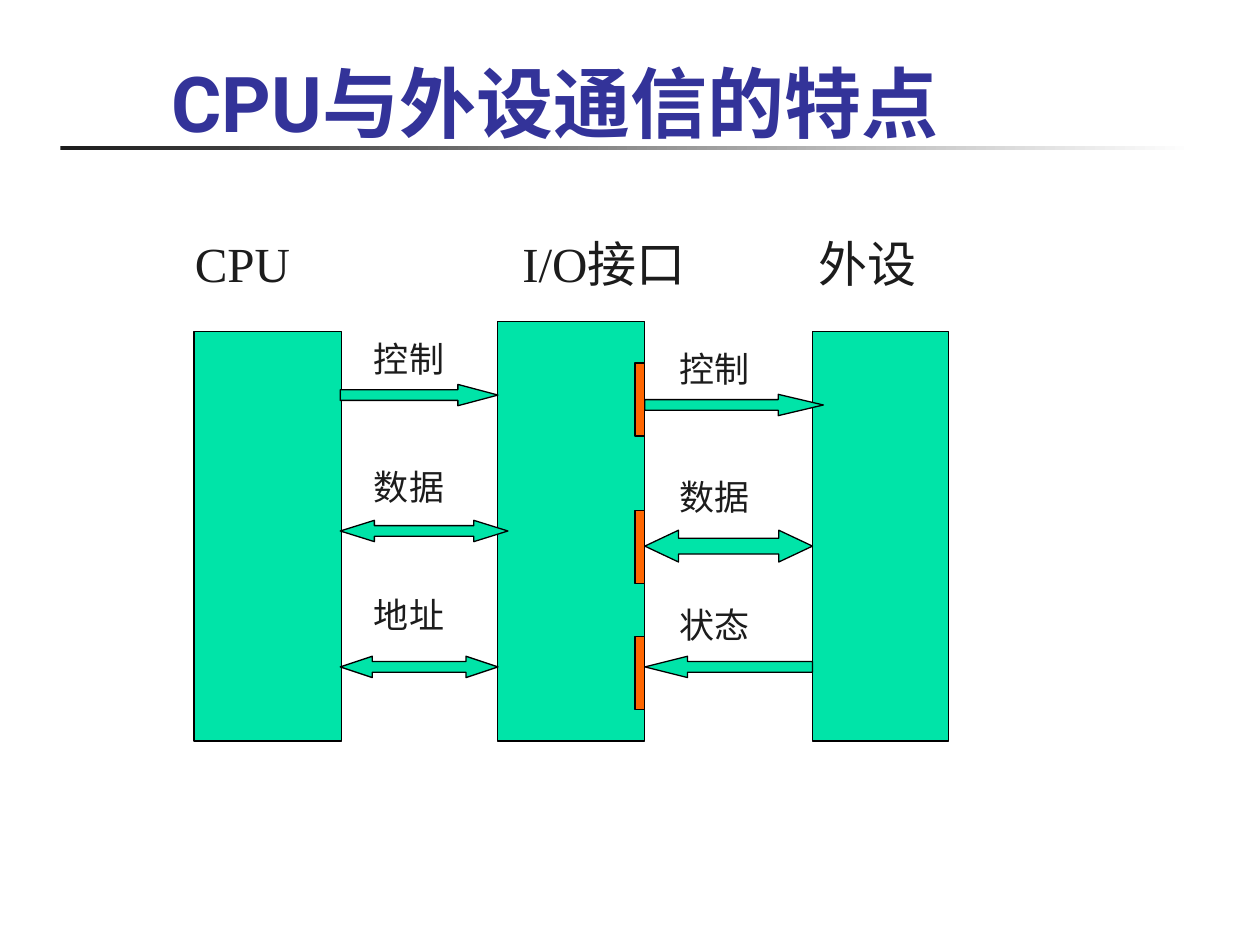
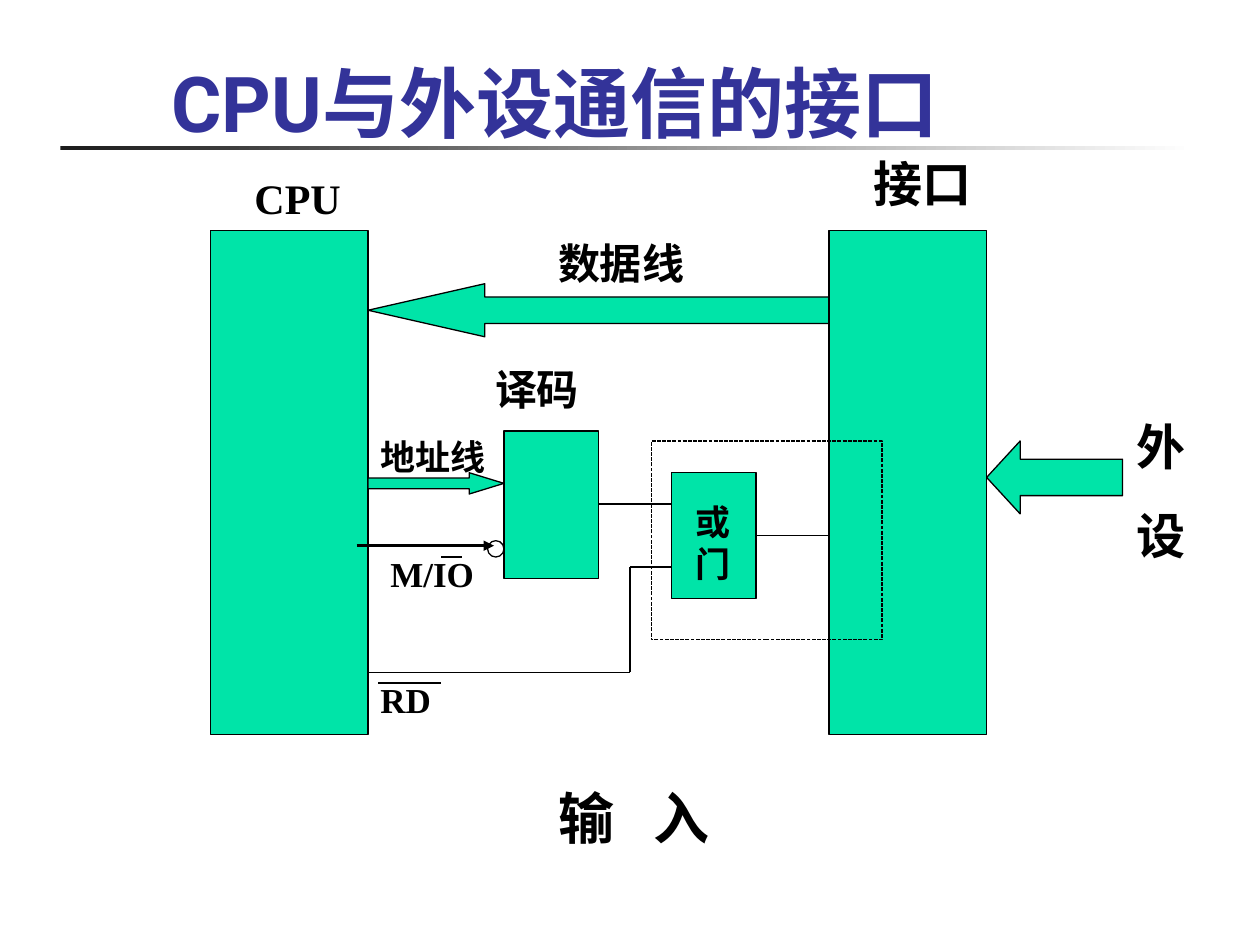
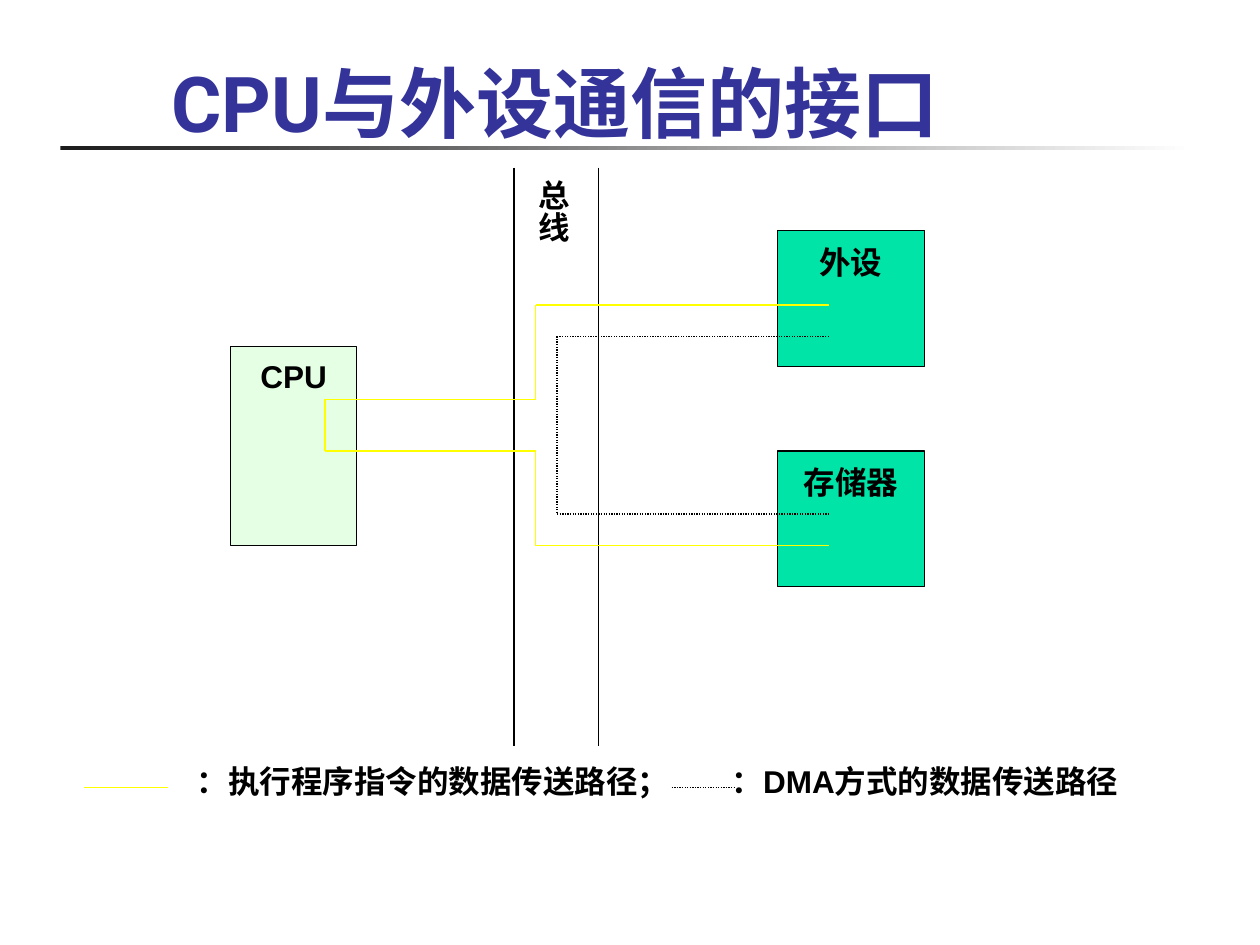
from dataclasses import dataclass

from lxml.etree import SubElement
from pptx import Presentation
from pptx.dml.color import RGBColor
from pptx.enum.dml import MSO_LINE
from pptx.enum.lang import MSO_LANGUAGE_ID
from pptx.enum.shapes import MSO_CONNECTOR, MSO_SHAPE
from pptx.enum.text import MSO_ANCHOR, MSO_AUTO_SIZE, PP_ALIGN
from pptx.oxml.ns import qn
from pptx.util import Cm, Pt


@dataclass(frozen=True)
class Theme:
    title: RGBColor = RGBColor.from_string("333399")
    ink: RGBColor = RGBColor.from_string("1C1C1C")
    black: RGBColor = RGBColor.from_string("000000")
    white: RGBColor = RGBColor.from_string("FFFFFF")
    unit: RGBColor = RGBColor.from_string("00E4A8")
    port: RGBColor = RGBColor.from_string("FF6600")
    pale: RGBColor = RGBColor.from_string("CCFFCC")
    program: RGBColor = RGBColor.from_string("FFFF00")
    title_font: str = "Roboto"
    serif: str = "Times New Roman"
    sans: str = "Arial"
    title_size: int = 44
    mode_size: int = 32
    head_size: int = 28
    part_size: int = 24
    signal_size: int = 20
    path_size: int = 18
    thin: float = 0.75
    thick: float = 1.5


theme = Theme()


def write(shape, text, size, font=theme.serif, color=theme.black, bold=True,
          align=PP_ALIGN.LEFT, anchor=MSO_ANCHOR.TOP, gap=0, tabs=(), top=0.13):
    frame = shape.text_frame
    frame.word_wrap = True
    frame.auto_size = MSO_AUTO_SIZE.NONE
    frame.vertical_anchor = anchor
    frame.margin_top = Cm(top)
    for index, line in enumerate(text.split("\n")):
        paragraph = frame.add_paragraph() if index else frame.paragraphs[0]
        paragraph.text = line
        paragraph.alignment = align
        if index:
            paragraph.space_before = Pt(gap)
        if tabs:
            stops = SubElement(paragraph._p.get_or_add_pPr(), qn("a:tabLst"))
            for stop in tabs:
                SubElement(stops, qn("a:tab"), pos=str(Cm(stop)), algn="l")
        style = paragraph.runs[0].font
        style.size = Pt(size)
        style.name = font
        style.bold = bold
        style.color.rgb = color
        style.language_id = MSO_LANGUAGE_ID.SIMPLIFIED_CHINESE


def block(slide, kind, box, fill=theme.unit, head=None):
    shape = slide.shapes.add_shape(kind, *map(Cm, box))
    shape.shadow.inherit = False
    shape.line.color.rgb = theme.black
    shape.line.width = Pt(theme.thin)
    if fill is None:
        shape.fill.background()
    else:
        shape.fill.solid()
        shape.fill.fore_color.rgb = fill
    if head:
        shape.adjustments[0] = 0.5
        shape.adjustments[1] = head
    return shape


deck = Presentation()
deck.slide_width, deck.slide_height = Cm(25.4), Cm(19.05)

for heading in ("CPU与外设通信的特点", "CPU与外设通信的接口", "CPU与外设通信的接口"):
    slide = deck.slides.add_slide(deck.slide_layouts[5])
    title = slide.shapes.title
    title.left, title.top, title.width, title.height = map(Cm, (3.2, 0.56, 21.64, 2.54))
    write(title, heading, theme.title_size, font=theme.title_font,
          color=theme.title, anchor=MSO_ANCHOR.BOTTOM)
    rule = block(slide, MSO_SHAPE.RECTANGLE, (1.22, 2.95, 22.86, 0.08))
    rule.line.fill.background()
    rule.fill.gradient()
    rule.fill.gradient_angle = 0
    for stop, color in zip(rule.fill.gradient_stops, (theme.ink, theme.white)):
        stop.color.rgb = color

features, input_port, transfer = deck.slides

for unit in ((3.91, 6.68, 2.97, 8.26), (10.03, 6.48, 2.97, 8.46), (16.38, 6.68, 2.74, 8.26)):
    block(features, MSO_SHAPE.RECTANGLE, unit)
for port_top in (7.32, 10.29, 12.83):
    block(features, MSO_SHAPE.RECTANGLE, (12.8, port_top, 0.2, 1.47), fill=theme.port)

for kind, box, head in (
    (MSO_SHAPE.RIGHT_ARROW, (6.86, 7.75, 3.18, 0.43), 1.88),
    (MSO_SHAPE.LEFT_RIGHT_ARROW, (6.86, 10.49, 3.38, 0.43), 1.6),
    (MSO_SHAPE.LEFT_RIGHT_ARROW, (6.86, 13.23, 3.18, 0.43), 1.5),
    (MSO_SHAPE.RIGHT_ARROW, (13, 7.95, 3.6, 0.43), 2.12),
    (MSO_SHAPE.LEFT_RIGHT_ARROW, (13, 10.69, 3.38, 0.64), 1.06),
    (MSO_SHAPE.LEFT_ARROW, (13, 13.23, 3.38, 0.43), 2),
):
    block(features, kind, box, head=head)

unit_names = features.shapes.add_textbox(Cm(3.68), Cm(4.57), Cm(16.51), Cm(1.5))
write(unit_names, "CPU\tI/O接口\t外设", theme.head_size, color=theme.ink,
      bold=False, tabs=(6.6, 12.57))

for left, top, signals in (
    (7.29, 6.68, ("控制", "数据", "地址")),
    (13.44, 6.88, ("控制", "数据", "状态")),
):
    for row, signal in enumerate(signals):
        label = features.shapes.add_textbox(Cm(left), Cm(top + 2.58 * row), Cm(2.6), Cm(1.1))
        write(label, signal, theme.signal_size, color=theme.ink, bold=False)

for kind, box, fill, head in (
    (MSO_SHAPE.RECTANGLE, (4.24, 4.65, 3.18, 10.16), theme.unit, None),
    (MSO_SHAPE.LEFT_ARROW, (7.42, 5.72, 9.31, 1.07), theme.unit, 2.2),
    (MSO_SHAPE.RECTANGLE, (10.16, 8.69, 1.9, 2.97), theme.unit, None),
    (MSO_SHAPE.RIGHT_ARROW, (7.42, 9.53, 2.74, 0.43), theme.unit, 1.63),
    (MSO_SHAPE.OVAL, (9.83, 10.9, 0.33, 0.33), None, None),
    (MSO_SHAPE.RECTANGLE, (13.54, 9.53, 1.7, 2.54), theme.unit, None),
    (MSO_SHAPE.RECTANGLE, (16.71, 4.65, 3.18, 10.16), theme.unit, None),
    (MSO_SHAPE.LEFT_ARROW, (19.89, 8.89, 2.74, 1.47), theme.unit, 0.46),
):
    block(input_port, kind, box, fill=fill, head=head)
gate_area = block(input_port, MSO_SHAPE.RECTANGLE, (13.13, 8.89, 4.65, 4.01), fill=None)
gate_area.line.dash_style = MSO_LINE.SQUARE_DOT

for text, box, size in (
    ("CPU", (4.88, 3.35, 3.81, 1.27), theme.part_size),
    ("译码", (9.73, 7.19, 3.18, 1.27), theme.part_size),
    ("数据线", (11, 4.65, 3.38, 1.27), theme.part_size),
    ("M/IO", (7.62, 11, 2.34, 1.12), theme.signal_size),
    ("RD", (7.42, 13.54, 2.11, 1.12), theme.signal_size),
    ("或门", (13.77, 9.96, 1.27, 1.96), theme.signal_size),
    ("地址线", (7.42, 8.64, 2.74, 1.12), theme.signal_size),
    ("接口", (17.36, 2.97, 3, 1.5), theme.head_size),
    ("外\n设", (22.66, 8.26, 2.74, 3.25), theme.head_size),
):
    write(input_port.shapes.add_textbox(*map(Cm, box)), text, size, gap=17.5)
mode = input_port.shapes.add_textbox(Cm(11), Cm(15.67), Cm(12.5), Cm(1.63))
write(mode, "输\t入", theme.mode_size, tabs=(1.93,))

for text, box, fill, top in (
    ("CPU", (4.65, 6.99, 2.54, 4.01), theme.pale, 0.2),
    ("外设", (15.67, 4.65, 2.97, 2.74), theme.unit, 0.25),
    ("存储器", (15.67, 9.09, 2.97, 2.74), theme.unit, 0.25),
):
    unit = block(transfer, MSO_SHAPE.RECTANGLE, box, fill=fill)
    write(unit, text, theme.path_size, font=theme.sans, align=PP_ALIGN.CENTER, top=top)
    if fill == theme.pale:
        tint = unit._element.spPr.find(qn("a:solidFill")).find(qn("a:srgbClr"))
        SubElement(tint, qn("a:alpha"), val="50000")

bus = transfer.shapes.add_textbox(Cm(10.39), Cm(3.38), Cm(1.27), Cm(1.9))
write(bus, "总线", theme.path_size, font=theme.sans, align=PP_ALIGN.CENTER, top=0.25)
bus.text_frame.margin_left = bus.text_frame.margin_right = Cm(0.13)
bus.text_frame.margin_bottom = Cm(0.25)
bus.text_frame._txBody.bodyPr.set("vert", "eaVert")

legend = transfer.shapes.add_textbox(Cm(3.72), Cm(15.24), Cm(20.5), Cm(1.02))
write(legend, "：执行程序指令的数据传送路径；\t：DMA方式的数据传送路径",
      theme.path_size, font=theme.sans, tabs=(10.78,))

solid, dotted = MSO_LINE.SOLID, MSO_LINE.ROUND_DOT
for slide, color, dash, points in (
    (input_port, theme.black, solid, ((8.89, 11.23), (9.32, 11.23))),
    (input_port, theme.black, solid, ((12.07, 10.16), (13.54, 10.16))),
    (input_port, theme.black, solid,
     ((7.42, 13.55), (12.7, 13.55), (12.7, 11.43), (13.54, 11.43))),
    (input_port, theme.black, solid, ((15.24, 10.8), (16.71, 10.8))),
    (input_port, theme.black, solid, ((7.62, 13.77), (8.89, 13.77))),
    (input_port, theme.black, solid, ((7.19, 11), (9.96, 11))),
    (transfer, theme.black, solid, ((10.36, 3.38), (10.36, 15.04))),
    (transfer, theme.black, solid, ((12.07, 3.38), (12.07, 15.04))),
    (transfer, theme.program, solid,
     ((16.71, 6.15), (10.8, 6.15), (10.8, 8.05), (6.55, 8.05),
      (6.55, 9.09), (10.8, 9.09), (10.8, 11), (16.71, 11))),
    (transfer, theme.black, dotted,
     ((16.71, 6.78), (11.23, 6.78), (11.23, 10.36), (16.71, 10.36))),
    (transfer, theme.program, solid, ((1.7, 15.88), (3.38, 15.88))),
    (transfer, theme.black, dotted, ((13.54, 15.88), (14.81, 15.88))),
):
    for start, end in zip(points, points[1:]):
        wire = slide.shapes.add_connector(MSO_CONNECTOR.STRAIGHT, *map(Cm, start + end))
        wire.line.color.rgb = color
        wire.line.width = Pt(theme.thin)
        wire.line.dash_style = dash
        SubElement(wire._element.spPr, qn("a:effectLst"))
        if start == (7.19, 11):
            wire.line.width = Pt(theme.thick)
            SubElement(wire.line._get_or_add_ln(), qn("a:tailEnd"), type="triangle")

deck.save("out.pptx")
